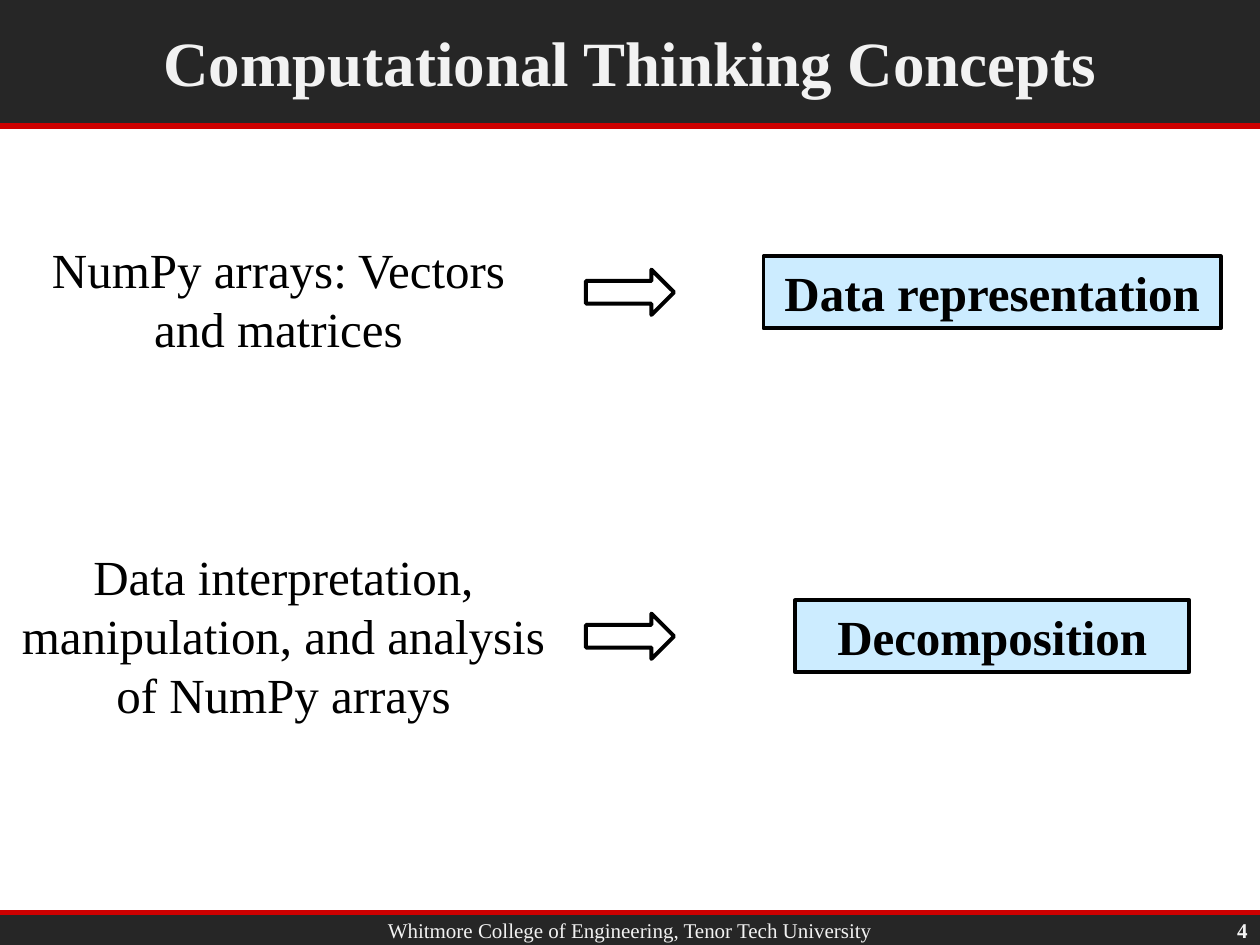
"""Build the slide that links NumPy topics to computational thinking concepts."""
from dataclasses import dataclass

from lxml.etree import SubElement
from pptx import Presentation
from pptx.dml.color import RGBColor
from pptx.enum.shapes import MSO_CONNECTOR, MSO_SHAPE
from pptx.enum.text import MSO_ANCHOR, PP_ALIGN
from pptx.oxml.ns import qn
from pptx.slide import Slide
from pptx.util import Inches, Pt

CHARCOAL = RGBColor(0x26, 0x26, 0x26)
RED = RGBColor(0xCC, 0x00, 0x00)
PALE = RGBColor(0xF2, 0xF2, 0xF2)
SKY = RGBColor(0xCC, 0xEC, 0xFF)
BLACK = RGBColor(0x00, 0x00, 0x00)

COLUMNS, ROWS = 100, 75
CONCEPT_CENTER = 78.75
ARROW_LEFT, ARROW_WIDTH, ARROW_HEIGHT = 46.5, 7, 3.6
CONCEPT_HEIGHT = 5.7


@dataclass
class Deck:
    """Style and current slide, measured on a grid of columns and rows."""
    slide: Slide
    width: int
    height: int
    font: str = "Times New Roman"
    outline: float = 2.25
    rule: float = 3

    def place(self, left, top, width, height):
        """Turn grid units into slide lengths."""
        column, row = self.width / COLUMNS, self.height / ROWS
        return [round(n) for n in (left * column, top * row, width * column, height * row)]

    def label(self, shape, text, size, color, bold=False,
              align=PP_ALIGN.CENTER, anchor=MSO_ANCHOR.TOP):
        """Fill a shape with one styled paragraph."""
        frame = shape.text_frame
        frame.text = text
        frame.word_wrap = True
        frame.vertical_anchor = anchor
        paragraph = frame.paragraphs[0]
        paragraph.alignment = align
        font = paragraph.font
        font.name, font.size, font.bold = self.font, Pt(size), bold
        font.color.rgb = color

    def text(self, area, text, size, color, **style):
        """Add a text box."""
        self.label(self.slide.shapes.add_textbox(*self.place(*area)), text, size, color, **style)

    def shape(self, kind, area, fill=None, line=None):
        """Add a flat preset shape."""
        shape = self.slide.shapes.add_shape(kind, *self.place(*area))
        shape.shadow.inherit = False
        if fill is None:
            shape.fill.background()
        else:
            shape.fill.solid()
            shape.fill.fore_color.rgb = fill
        if line is None:
            shape.line.fill.background()
        else:
            shape.line.color.rgb = line
            shape.line.width = Pt(self.outline)
        return shape

    def band(self, top, height, edge):
        """Add a full-width dark band with a red rule at its edge."""
        self.shape(MSO_SHAPE.RECTANGLE, (0, top, COLUMNS, height), CHARCOAL)
        left, level, right, _ = self.place(0, edge, COLUMNS, 0)
        rule = self.slide.shapes.add_connector(MSO_CONNECTOR.STRAIGHT, left, level, right, level)
        rule.line.color.rgb = RED
        rule.line.width = Pt(self.rule)
        SubElement(rule._element.spPr, qn("a:effectLst"))

    def title(self, area, text):
        """Format the title placeholder and bring it in front of the bands."""
        title = self.slide.shapes.title
        title.left, title.top, title.width, title.height = self.place(*area)
        self.label(title, text, 36, PALE, bold=True, anchor=MSO_ANCHOR.MIDDLE)
        self.slide.shapes._spTree.append(title._element)

    def pairing(self, topic, topic_area, concept, concept_width, middle):
        """Add a topic, an arrow and the concept it leads to."""
        self.text(topic_area, topic, 28, BLACK)
        self.shape(MSO_SHAPE.RIGHT_ARROW,
                   (ARROW_LEFT, middle - ARROW_HEIGHT / 2, ARROW_WIDTH, ARROW_HEIGHT), line=BLACK)
        box = self.shape(MSO_SHAPE.RECTANGLE,
                         (CONCEPT_CENTER - concept_width / 2, middle - CONCEPT_HEIGHT / 2,
                          concept_width, CONCEPT_HEIGHT), SKY, BLACK)
        self.label(box, concept, 28, BLACK, bold=True)


def main():
    """Compose and save the slide."""
    presentation = Presentation()
    presentation.slide_width, presentation.slide_height = Inches(10), Inches(7.5)
    slide = presentation.slides.add_slide(presentation.slide_layouts[5])
    deck = Deck(slide, presentation.slide_width, presentation.slide_height)

    deck.band(72.4, 2.6, edge=72.4)
    deck.text((10.1, 72.3, 79.8, 3), "Whitmore College of Engineering, Tenor Tech University",
              12, PALE, anchor=MSO_ANCHOR.MIDDLE)
    deck.band(0, 10, edge=10)
    deck.text((92.8, 72.5, 7.2, 2.6), "4", 12, PALE, bold=True,
              align=PP_ALIGN.RIGHT, anchor=MSO_ANCHOR.MIDDLE)
    deck.title((10.1, 0.4, 79.8, 8.9), "Computational Thinking Concepts")

    deck.pairing("NumPy arrays: Vectors and matrices", (3, 18.5, 38.2, 10.4),
                 "Data representation", 36.3, middle=23.2)
    deck.pairing("Data interpretation, manipulation, and analysis of NumPy arrays",
                 (0, 42.9, 45, 15.1), "Decomposition", 31.3, middle=50.5)

    presentation.save("out.pptx")


if __name__ == "__main__":
    main()
